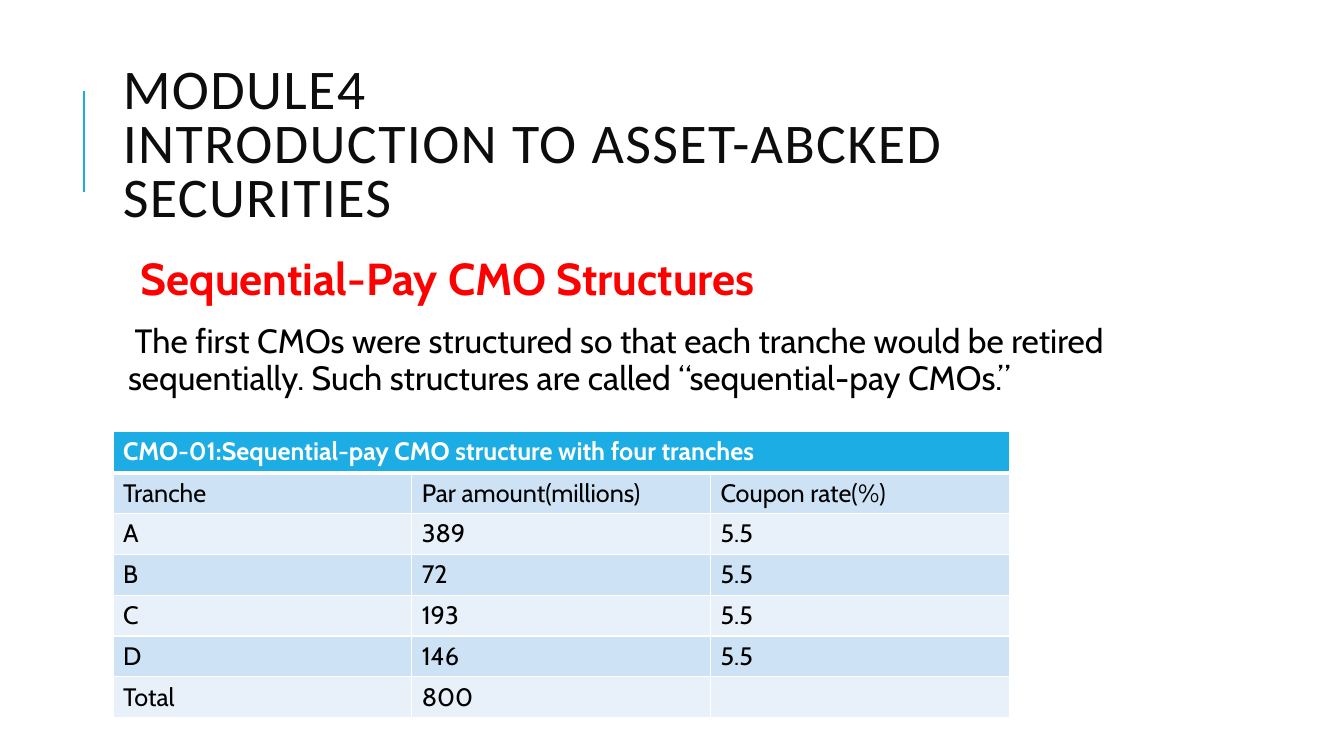
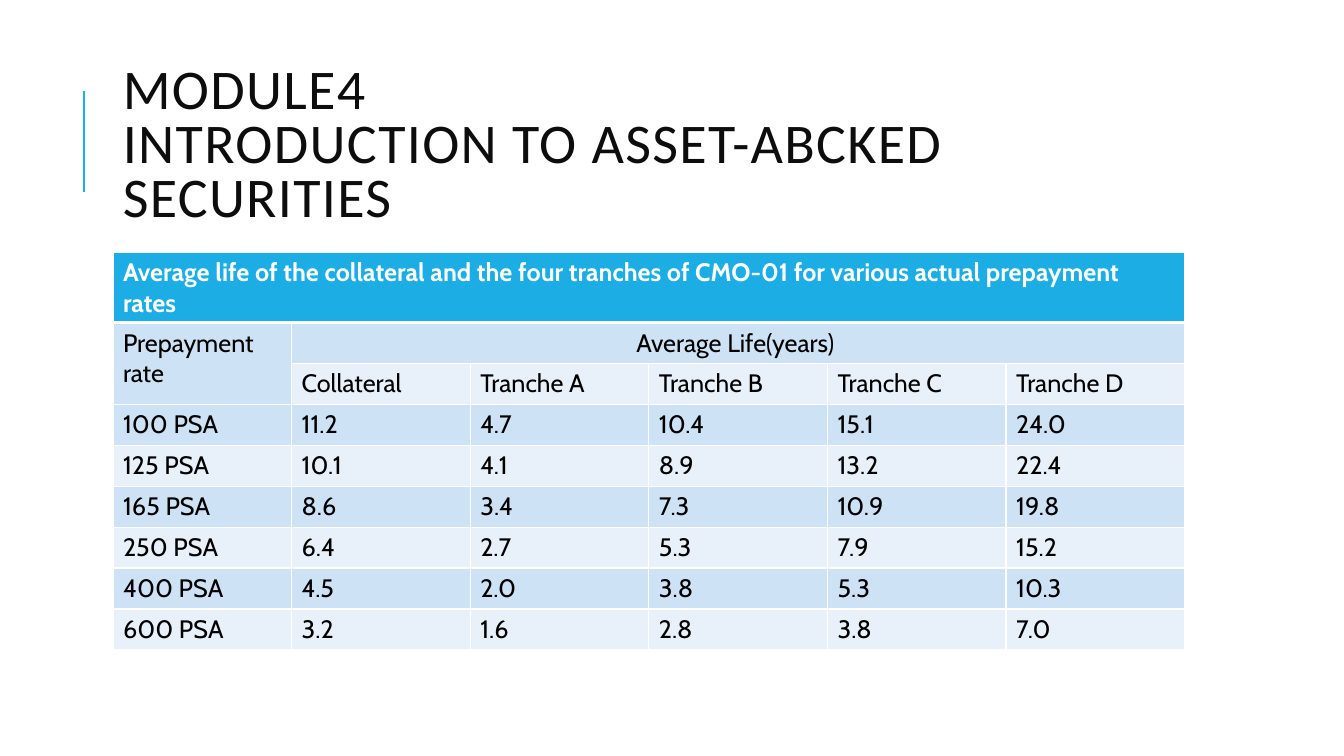
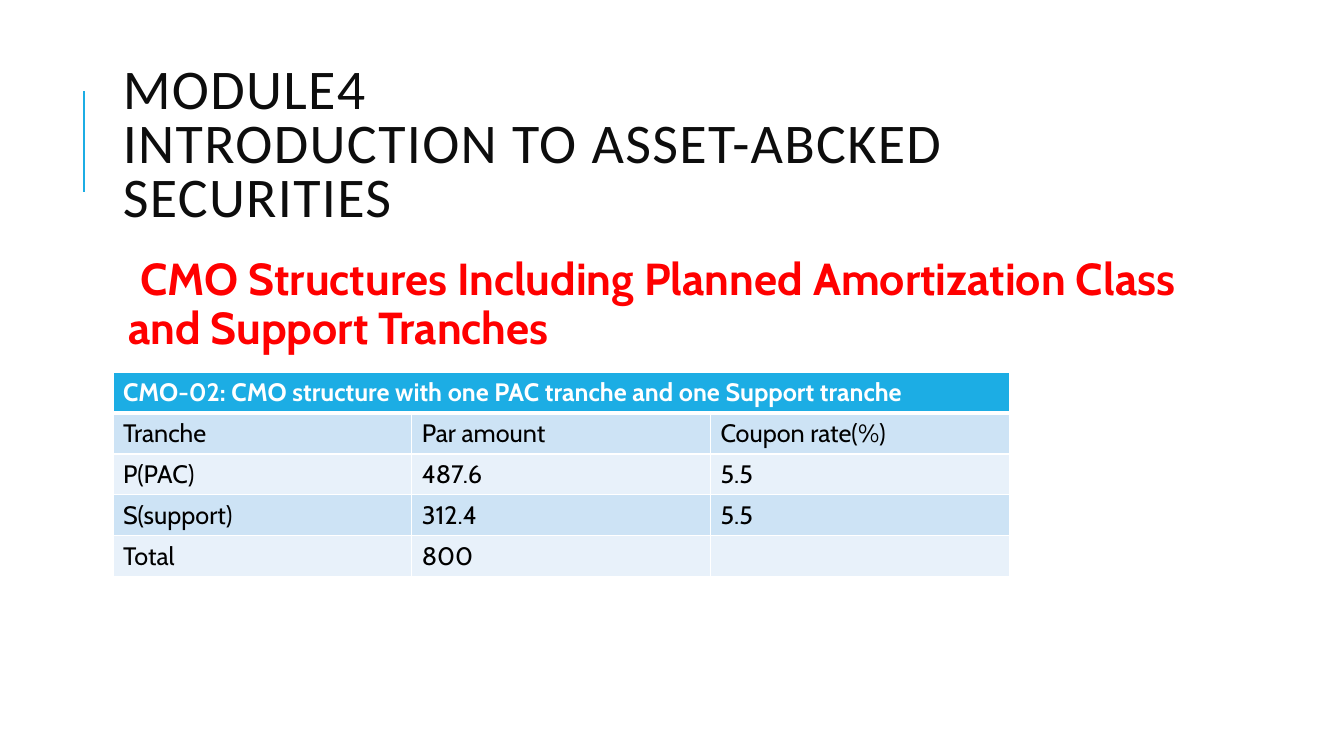
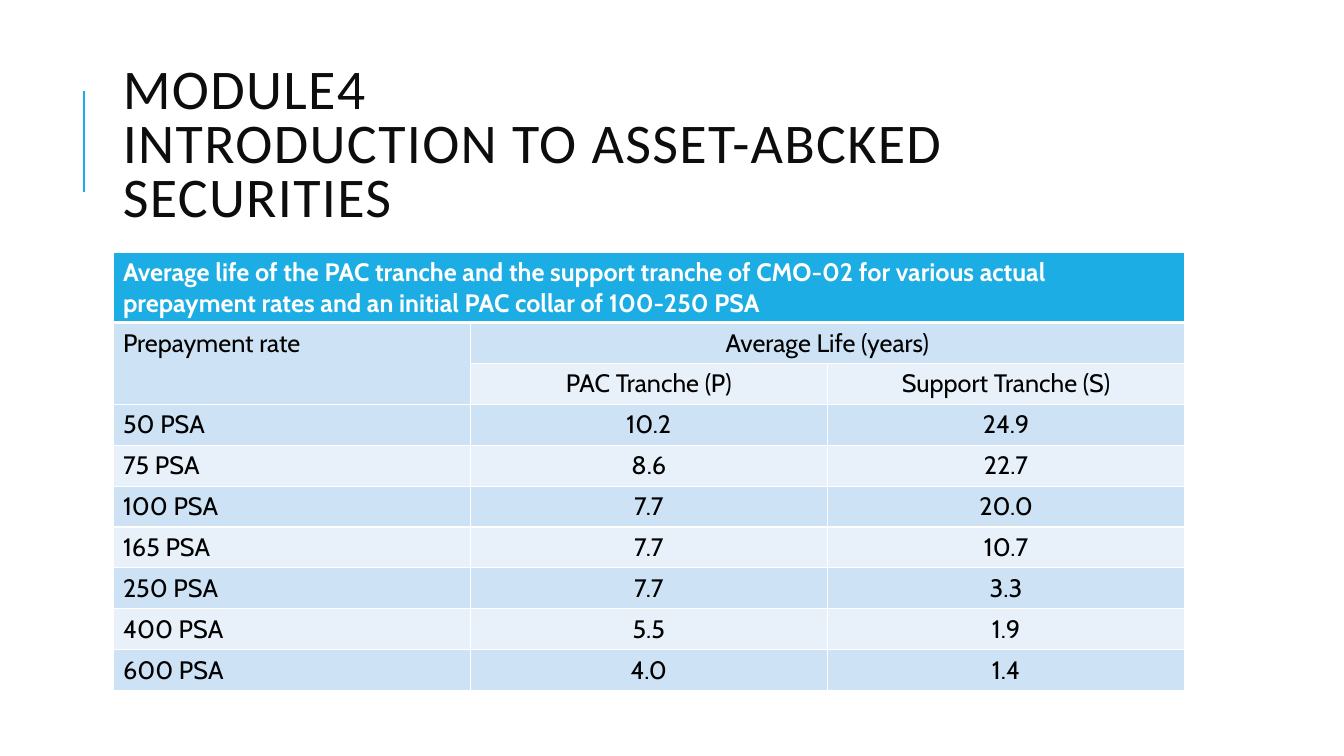
from dataclasses import dataclass

from lxml.etree import SubElement
from pptx import Presentation
from pptx.dml.color import RGBColor as Rgb
from pptx.enum.shapes import MSO_CONNECTOR as Connector
from pptx.enum.text import MSO_ANCHOR as Anchor, PP_ALIGN as Align
from pptx.oxml.ns import qn
from pptx.util import Pt

PX = 9144


@dataclass(frozen=True)
class Theme:
    """Colours, fonts and type sizes of the deck."""
    accent: str = "1CADE4"
    title: str = "0D0D0D"
    heading: str = "FF0000"
    text: str = "000000"
    white: str = "FFFFFF"
    bands: tuple = ("E8F1FA", "CDE3F5")
    title_font: str = "Calibri"
    body_font: str = "Cabin"
    title_size: int = 40
    heading_size: int = 32
    body_size: int = 24
    table_size: int = 18


THEME = Theme()
TITLE = "MODULE4\vINTRODUCTION TO ASSET-ABCKED SECURITIES"
TITLE_BOX = (112, 64, 1063, 164)
BODY_BOX = (112, 250, 1063, 440)

SEQUENTIAL_PAY = [
    ["CMO-01:Sequential-pay CMO structure with four tranches", "", ""],
    ["Tranche", "Par amount(millions)", "Coupon rate(%)"],
    ["A", "389", "5.5"],
    ["B", "72", "5.5"],
    ["C", "193", "5.5"],
    ["D", "146", "5.5"],
    ["Total", "800", ""],
]
SEQUENTIAL_LIVES = [
    ["Average life of the collateral and the four tranches of CMO-01 for "
     "various actual prepayment rates", "", "", "", "", ""],
    ["Prepayment\nrate", "Average Life(years) ", "", "", "", ""],
    ["", "Collateral", "Tranche A", "Tranche B", "Tranche C", "Tranche D"],
    ["100 PSA", "11.2", "4.7", "10.4", "15.1", "24.0"],
    ["125 PSA", "10.1", "4.1", "8.9", "13.2", "22.4"],
    ["165 PSA", "8.6", "3.4", "7.3", "10.9", "19.8"],
    ["250 PSA", "6.4", "2.7", "5.3", "7.9", "15.2"],
    ["400 PSA", "4.5", "2.0", "3.8", "5.3", "10.3"],
    ["600 PSA", "3.2", "1.6", "2.8", "3.8", "7.0"],
]
PAC_SUPPORT = [
    ["CMO-02: CMO structure with one PAC tranche and one Support tranche",
     "", ""],
    ["Tranche", "Par amount", "Coupon rate(%)"],
    ["P(PAC)", "487.6", "5.5"],
    ["S(support)", "312.4", "5.5"],
    ["Total", "800", ""],
]
PAC_LIVES = [
    ["Average life of the PAC tranche and the support tranche of CMO-02 for "
     "various actual prepayment rates and an initial PAC collar of "
     "100-250 PSA", "", ""],
    ["Prepayment rate", "Average Life (years)", ""],
    ["", "PAC Tranche (P)", "Support Tranche (S)"],
    ["50 PSA", "10.2", "24.9"],
    ["75 PSA", "8.6", "22.7"],
    ["100 PSA", "7.7", "20.0"],
    ["165 PSA", "7.7", "10.7"],
    ["250 PSA", "7.7", "3.3"],
    ["400 PSA", "5.5", "1.9"],
    ["600 PSA", "4.0", "1.4"],
]


def emu(*lengths):
    """Turn px lengths into EMU."""
    return [round(length * PX) for length in lengths]


def style(para, size, color, font=THEME.body_font, bold=False):
    """Format every run of a paragraph."""
    for span in para.runs:
        span.font.name = font
        span.font.size = Pt(size)
        span.font.bold = bold
        span.font.color.rgb = Rgb.from_string(color)


def add_title(page, box):
    """Place the title and the accent rule to its left."""
    left, top, width, height = box
    rule_x = left - 29
    rule = page.shapes.add_connector(
        Connector.STRAIGHT, *emu(rule_x, top + 126, rule_x, top + 26))
    rule.line.color.rgb = Rgb.from_string(THEME.accent)
    rule.line.width = Pt(1.5)
    SubElement(rule._element.spPr, qn("a:effectLst"))
    frame = page.shapes.add_textbox(*emu(left, top, width, height)).text_frame
    frame.word_wrap = True
    frame.vertical_anchor = Anchor.MIDDLE
    frame.text = TITLE
    para = frame.paragraphs[0]
    para.line_spacing = 0.8
    style(para, THEME.title_size, THEME.title, THEME.title_font)
    for span in para.runs:
        span.font._element.set("spc", "100")


def add_body(page, box, heading, *sentences):
    """Place a red heading with plain sentences below it."""
    frame = page.shapes.add_textbox(*emu(*box)).text_frame
    frame.word_wrap = True
    frame.margin_left, frame.margin_top = emu(5, 5)
    frame.margin_right, frame.margin_bottom = emu(5, 5)
    frame.text = "\n".join((heading, *sentences))
    indent, = emu(10)
    for index, para in enumerate(frame.paragraphs):
        para.line_spacing = 0.9
        para.space_after = Pt(2)
        if index:
            para.space_before = Pt(12)
            style(para, THEME.body_size, THEME.text)
        else:
            style(para, THEME.heading_size, THEME.heading, bold=True)
        props = para._p.get_or_add_pPr()
        props.set("marL", str(indent))
        props.set("indent", str(-indent))
        SubElement(props, qn("a:buChar"), char=" ")


def add_borders(cell, top, bottom):
    """Draw the four white borders of a cell."""
    props = cell._tc.get_or_add_tcPr()
    for side, points in (("L", 1), ("R", 1), ("T", top), ("B", bottom)):
        line = SubElement(props, qn(f"a:ln{side}"), w=str(Pt(points)))
        fill = SubElement(line, qn("a:solidFill"))
        SubElement(fill, qn("a:srgbClr"), val=THEME.white)


def format_cell(cell, row, text, align):
    """Fill one cell and style its text by row."""
    add_borders(cell, 3 if row == 1 else 1, 3 if row == 0 else 1)
    color = THEME.bands[row % 2] if row else THEME.accent
    cell.fill.solid()
    cell.fill.fore_color.rgb = Rgb.from_string(color)
    if not text:
        return
    cell.text = text
    for para in cell.text_frame.paragraphs:
        para.alignment = align
        style(para, THEME.table_size, THEME.text if row else THEME.white,
              bold=row == 0)


def add_data_table(page, box, rows, head=41, grouped=False, centred=False):
    """Place a banded table under a full-width heading row."""
    last = len(rows[0]) - 1
    table = page.shapes.add_table(len(rows), last + 1, *emu(*box)).table
    table.first_row = table.horz_banding = False
    heights = [head] + [(box[3] - head) / (len(rows) - 1)] * (len(rows) - 1)
    for row, (values, height) in enumerate(zip(rows, heights)):
        table.rows[row].height, = emu(height)
        for column, text in enumerate(values):
            group_head = grouped and row == 1
            middle = column and (centred or group_head)
            format_cell(table.cell(row, column), row, text,
                        Align.CENTER if middle else Align.LEFT)
    table.cell(0, 0).merge(table.cell(0, last))
    if grouped:
        table.cell(1, 0).merge(table.cell(2, 0))
        table.cell(1, 1).merge(table.cell(1, last))


def add_page(deck):
    """Add a blank slide with the shared title."""
    page = deck.slides.add_slide(deck.slide_layouts[6])
    add_title(page, TITLE_BOX)
    return page


def structure_page(deck, top, height, rows, *texts):
    """Build a slide with a heading and a tranche table."""
    page = add_page(deck)
    add_body(page, BODY_BOX, *texts)
    add_data_table(page, (BODY_BOX[0], top, 889, height), rows)


def lives_page(deck, height, rows, centred=False):
    """Build a slide with a full-width table of average lives."""
    page = add_page(deck)
    add_data_table(page, (*BODY_BOX[:3], height), rows, 69, True, centred)


def main():
    """Build and save the deck."""
    deck = Presentation()
    deck.slide_width, deck.slide_height = emu(1333, 750)
    structure_page(
        deck, 428, 284, SEQUENTIAL_PAY, "Sequential-Pay CMO Structures",
        "The first CMOs were structured so that each tranche would be retired "
        "sequentially. Such structures are called “sequential-pay CMOs.”")
    lives_page(deck, 394, SEQUENTIAL_LIVES)
    structure_page(
        deck, 369, 203, PAC_SUPPORT,
        "CMO Structures Including Planned Amortization Class "
        "and Support Tranches")
    lives_page(deck, 434, PAC_LIVES, centred=True)
    deck.save("out.pptx")


if __name__ == "__main__":
    main()
